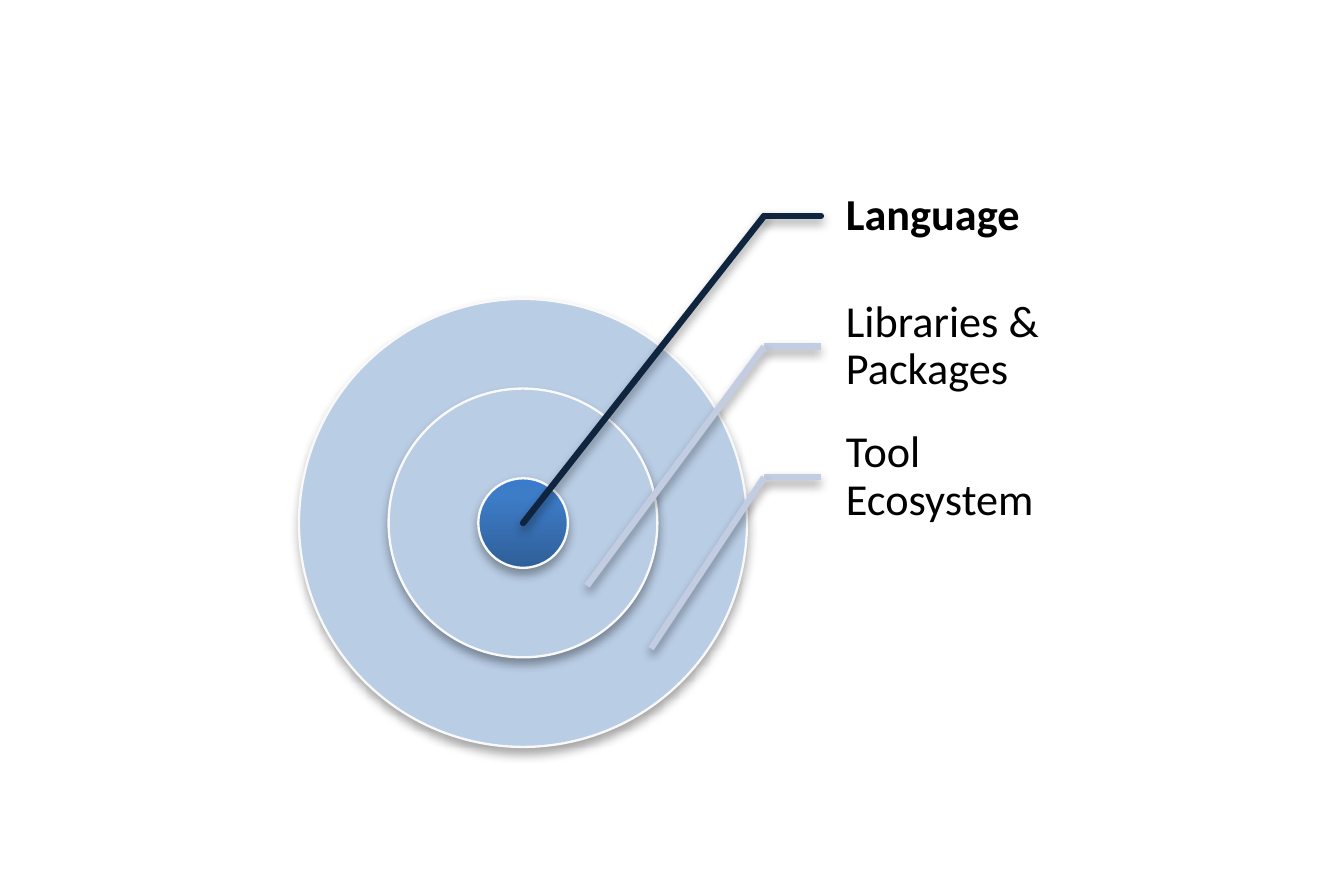
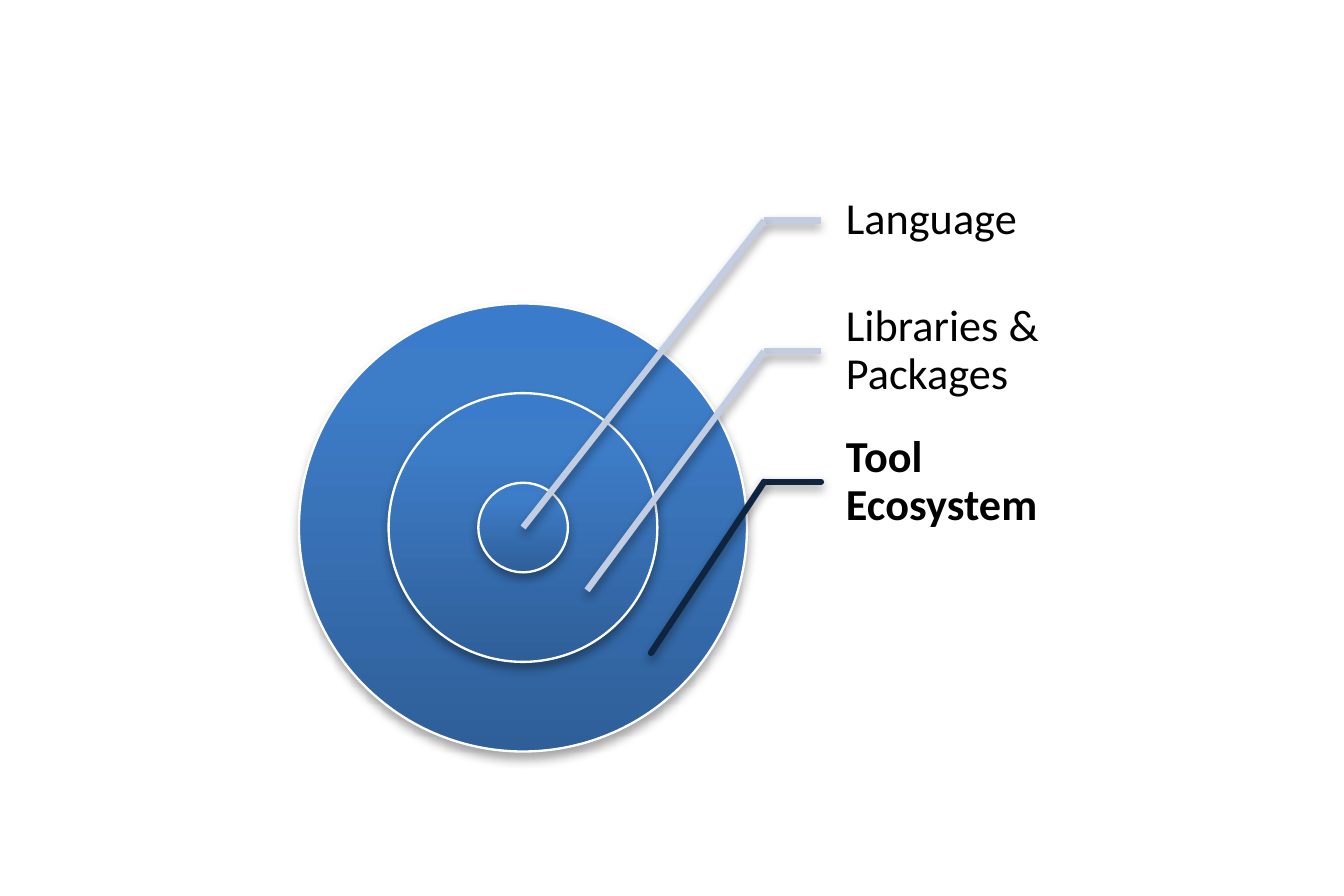
from copy import deepcopy
from dataclasses import dataclass

from lxml.etree import SubElement
from pptx import Presentation
from pptx.dml.color import RGBColor
from pptx.enum.shapes import MSO_CONNECTOR as Connector, MSO_SHAPE as Preset
from pptx.enum.text import MSO_ANCHOR as Anchor
from pptx.oxml.ns import qn
from pptx.util import Inches, Pt

LABELS = ["Language", "Libraries & Packages", "Tool Ecosystem"]
SLIDES = [
    {"center_y": 2.3, "bold": 0, "bright": {0}, "outline": "F9F9F9"},
    {"center_y": 2.32, "bold": 2, "bright": {0, 1, 2}, "outline": "FFFFFF"},
]


@dataclass(frozen=True)
class Theme:
    font: str = "Calibri"
    text_size: float = 14
    text: str = "000000"
    pale: str = "B9CDE5"
    gradient: tuple = ((0, "2F5F99"), (0.8, "3D7CC7"), (1, "3A7CCB"))
    active_line: str = "0F243E"
    quiet_line: str = "C2CDE1"
    outline_width: float = 0.75
    leader_width: float = 2
    ring_shadow: tuple = (35, 3.1, 1.8)
    leader_shadow: tuple = (38, 3.1, 1.6)


THEME = Theme()
CENTER_X = 2.3
OUTER = 1.97
RING_STEP = OUTER / 5
TARGET_STEP = (OUTER / 7, OUTER * 0.14)
LABEL_PITCH = OUTER * 7 / 24
FIRST_LABEL_RISE = 1.35
ELBOW_X, LABEL_X, LABEL_WIDTH = 3.36, 3.61, 0.98


def color(value):
    return RGBColor.from_string(value)


def apply(target, values):
    for name, value in values.items():
        setattr(target, name, value)


def add_shadow(shape, shadow):
    opacity, blur, distance = shadow
    effects = SubElement(shape.element.spPr, qn("a:effectLst"))
    outer = SubElement(effects, qn("a:outerShdw"), blurRad=str(Pt(blur)),
                       dist=str(Pt(distance)), dir="5400000", rotWithShape="0")
    black = SubElement(outer, qn("a:srgbClr"), val="000000")
    SubElement(black, qn("a:alpha"), val=str(opacity * 1000))


def fill_gradient(shape):
    shape.fill.gradient()
    shape.fill.gradient_angle = 90
    stop_list = shape.element.spPr.find(".//" + qn("a:gsLst"))
    stop_list.append(deepcopy(stop_list[-1]))
    for stop, (position, value) in zip(shape.fill.gradient_stops, THEME.gradient):
        stop.position = position
        stop.color.rgb = color(value)


def add_ring(slide, index, center_y, bright, outline):
    diameter = RING_STEP * (2 * index + 1)
    box = (CENTER_X - diameter / 2, center_y - diameter / 2, diameter, diameter)
    ring = slide.shapes.add_shape(Preset.OVAL, *map(Inches, box))
    if bright:
        fill_gradient(ring)
    else:
        ring.fill.solid()
        ring.fill.fore_color.rgb = color(THEME.pale)
    ring.line.color.rgb = color(outline)
    ring.line.width = Pt(THEME.outline_width)
    add_shadow(ring, THEME.ring_shadow)


def add_label(slide, text, middle, bold):
    box = (LABEL_X, middle - LABEL_PITCH / 2, LABEL_WIDTH, LABEL_PITCH)
    label = slide.shapes.add_textbox(*map(Inches, box))
    apply(label.text_frame, {
        "text": text, "word_wrap": True, "vertical_anchor": Anchor.MIDDLE,
        "margin_left": Inches(0.11), "margin_right": Inches(0.02),
        "margin_top": Inches(0.02), "margin_bottom": Inches(0.02),
    })
    paragraph = label.text_frame.paragraphs[0]
    paragraph.line_spacing = 0.9
    font = paragraph.runs[0].font
    apply(font, {"name": THEME.font, "size": Pt(THEME.text_size), "bold": bold})
    font.color.rgb = color(THEME.text)


def add_leader(slide, index, center_y, middle, active):
    target = (CENTER_X + index * TARGET_STEP[0], center_y + index * TARGET_STEP[1])
    for end in [(LABEL_X, middle), target]:
        leader = slide.shapes.add_connector(
            Connector.STRAIGHT, *map(Inches, (ELBOW_X, middle, *end)))
        leader.line.color.rgb = color(THEME.active_line if active else THEME.quiet_line)
        leader.line.width = Pt(THEME.leader_width)
        leader.element.spPr.find(qn("a:ln")).set("cap", "rnd" if active else "flat")
        add_shadow(leader, THEME.leader_shadow)


presentation = Presentation()
apply(presentation, {"slide_width": Inches(5.91), "slide_height": Inches(3.94)})
for content in SLIDES:
    slide = presentation.slides.add_slide(presentation.slide_layouts[6])
    center_y = content["center_y"]
    for index in reversed(range(len(LABELS))):
        add_ring(slide, index, center_y, index in content["bright"], content["outline"])
    for index, text in enumerate(LABELS):
        middle = center_y - FIRST_LABEL_RISE + index * LABEL_PITCH
        active = index == content["bold"]
        add_label(slide, text, middle, active)
        add_leader(slide, index, center_y, middle, active)

presentation.save("out.pptx")
